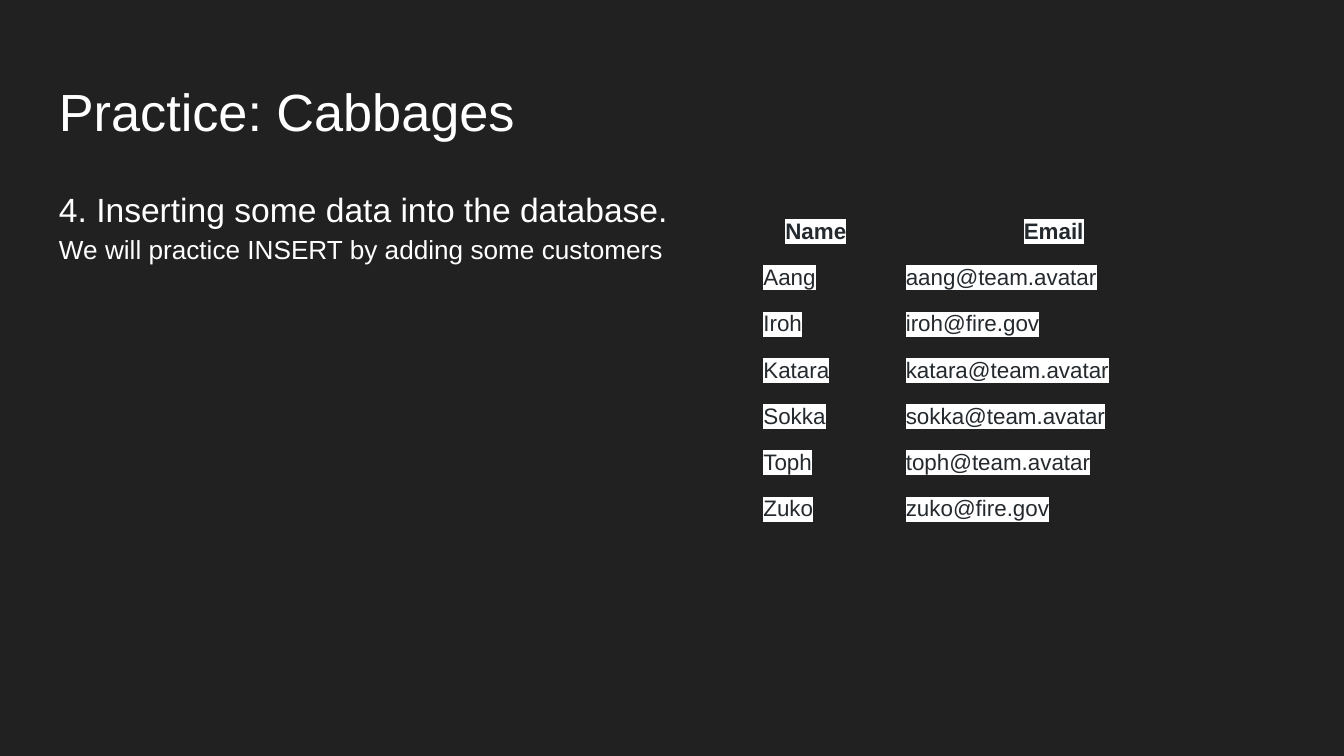
from lxml import etree
from pptx import Presentation
from pptx import util as u
from pptx.dml.color import RGBColor
from pptx.enum import text
from pptx.oxml import ns

TITLE = [("Practice: Cabbages", 28)]
BODY = [
    ("4. Inserting some data into the database.", 18),
    ("We will practice INSERT by adding some customers", 14),
]
CUSTOMERS = [
    ("Name", "Email"),
    ("Aang", "aang@team.avatar"),
    ("Iroh", "iroh@fire.gov"),
    ("Katara", "katara@team.avatar"),
    ("Sokka", "sokka@team.avatar"),
    ("Toph", "toph@team.avatar"),
    ("Zuko", "zuko@fire.gov"),
]
COLORS = {"background": "212121", "text": "FFFFFF", "cell": "24292E", "highlight": "FFFFFF"}
FONT = "Arial"
WIDTH = 10
HEIGHT = WIDTH * 9 / 16
MARGIN = 0.34
COLUMNS = (1.06, 2.48)
TABLE_LEFT, TABLE_TOP, TABLE_HEIGHT = 5.54, 1.57, 2.41
NO_STYLE = "{2D5ABB26-0587-4C30-8999-92F81FD0307C}"


def add_run(paragraph, words, size, color, bold=False):
    run = paragraph.add_run()
    run.text = words
    run.font.name = FONT
    run.font.size = u.Pt(size)
    run.font.bold = bold
    run.font.color.rgb = RGBColor.from_string(COLORS[color])
    return run


def highlight(run):
    """Put a marker colour behind a run; it must follow the text fill."""
    fill = run._r.get_or_add_rPr().find(ns.qn("a:solidFill"))
    marker = etree.Element(ns.qn("a:highlight"))
    etree.SubElement(marker, ns.qn("a:srgbClr"), val=COLORS["highlight"])
    fill.addnext(marker)


def fill_clear(cell):
    """Give a cell a white fill that is fully transparent."""
    cell.fill.solid()
    cell.fill.fore_color.rgb = RGBColor.from_string(COLORS["highlight"])
    color = cell._tc.tcPr.find(ns.qn("a:solidFill")).find(ns.qn("a:srgbClr"))
    etree.SubElement(color, ns.qn("a:alpha"), val="0")


def add_text(slide, lines, top, height, spacing):
    box = slide.shapes.add_textbox(
        u.Inches(MARGIN), u.Inches(top), u.Inches(WIDTH - 2 * MARGIN), u.Inches(height))
    frame = box.text_frame
    frame.word_wrap = True
    frame.margin_left = frame.margin_right = u.Inches(0.1)
    frame.margin_top = frame.margin_bottom = u.Inches(0.1)
    for index, (words, size) in enumerate(lines):
        paragraph = frame.add_paragraph() if index else frame.paragraphs[0]
        paragraph.line_spacing = spacing
        add_run(paragraph, words, size, "text")


def add_customers(slide):
    table = slide.shapes.add_table(
        len(CUSTOMERS), len(COLUMNS), u.Inches(TABLE_LEFT), u.Inches(TABLE_TOP),
        u.Inches(sum(COLUMNS)), u.Inches(TABLE_HEIGHT)).table
    table.first_row = table.horz_banding = False
    table._tbl.tblPr.find(ns.qn("a:tableStyleId")).text = NO_STYLE
    for column, width in zip(table.columns, COLUMNS):
        column.width = u.Inches(width)
    for row, customer in enumerate(CUSTOMERS):
        header = row == 0
        for column, words in enumerate(customer):
            cell = table.cell(row, column)
            fill_clear(cell)
            cell.margin_left = cell.margin_right = u.Inches(0.14)
            cell.margin_top = cell.margin_bottom = u.Inches(0.06)
            paragraph = cell.text_frame.paragraphs[0]
            paragraph.space_after = u.Pt(12)
            paragraph.alignment = text.PP_ALIGN.CENTER if header else text.PP_ALIGN.LEFT
            highlight(add_run(paragraph, words, 12, "cell", header))


def main():
    presentation = Presentation()
    presentation.slide_width = u.Inches(WIDTH)
    presentation.slide_height = u.Inches(HEIGHT)
    slide = presentation.slides.add_slide(presentation.slide_layouts[6])
    slide.background.fill.solid()
    slide.background.fill.fore_color.rgb = RGBColor.from_string(COLORS["background"])
    add_text(slide, TITLE, 0.49, 0.63, 1.0)
    add_text(slide, BODY, 1.26, 3.74, 1.15)
    add_customers(slide)
    presentation.save("out.pptx")


if __name__ == "__main__":
    main()
